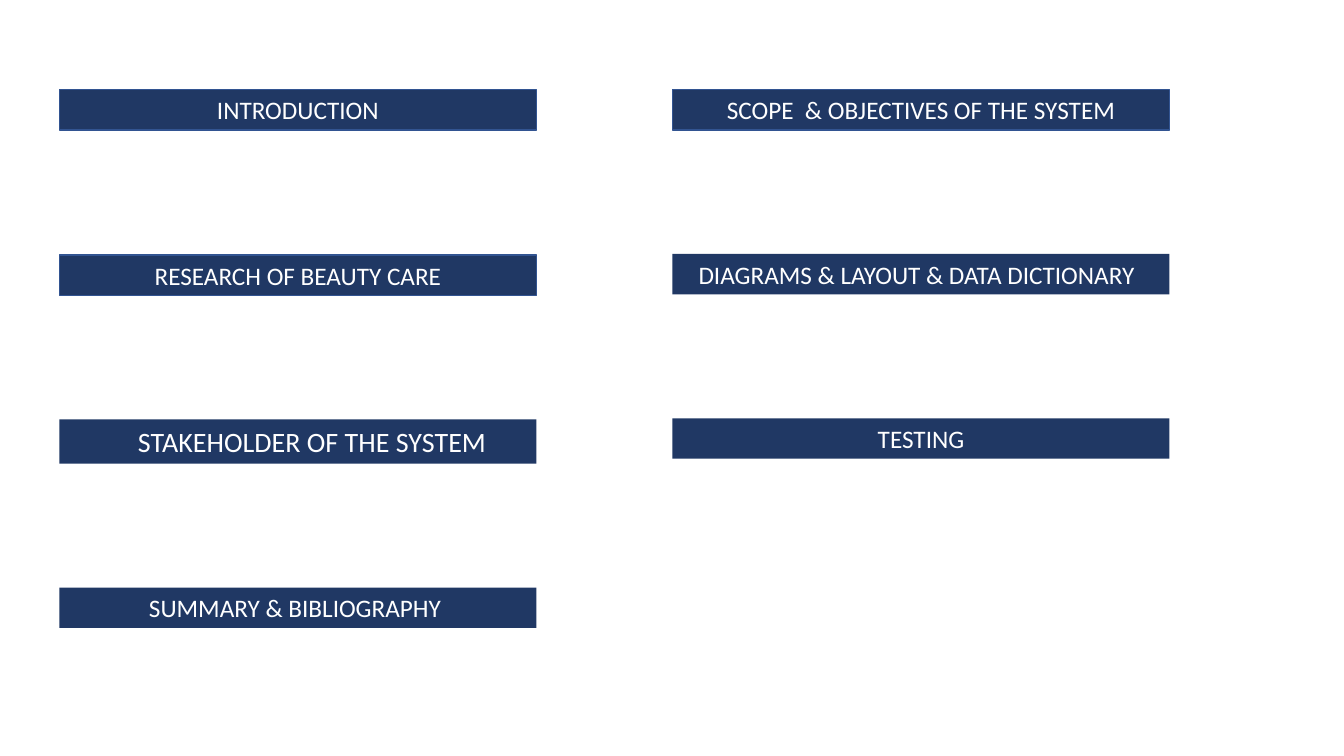
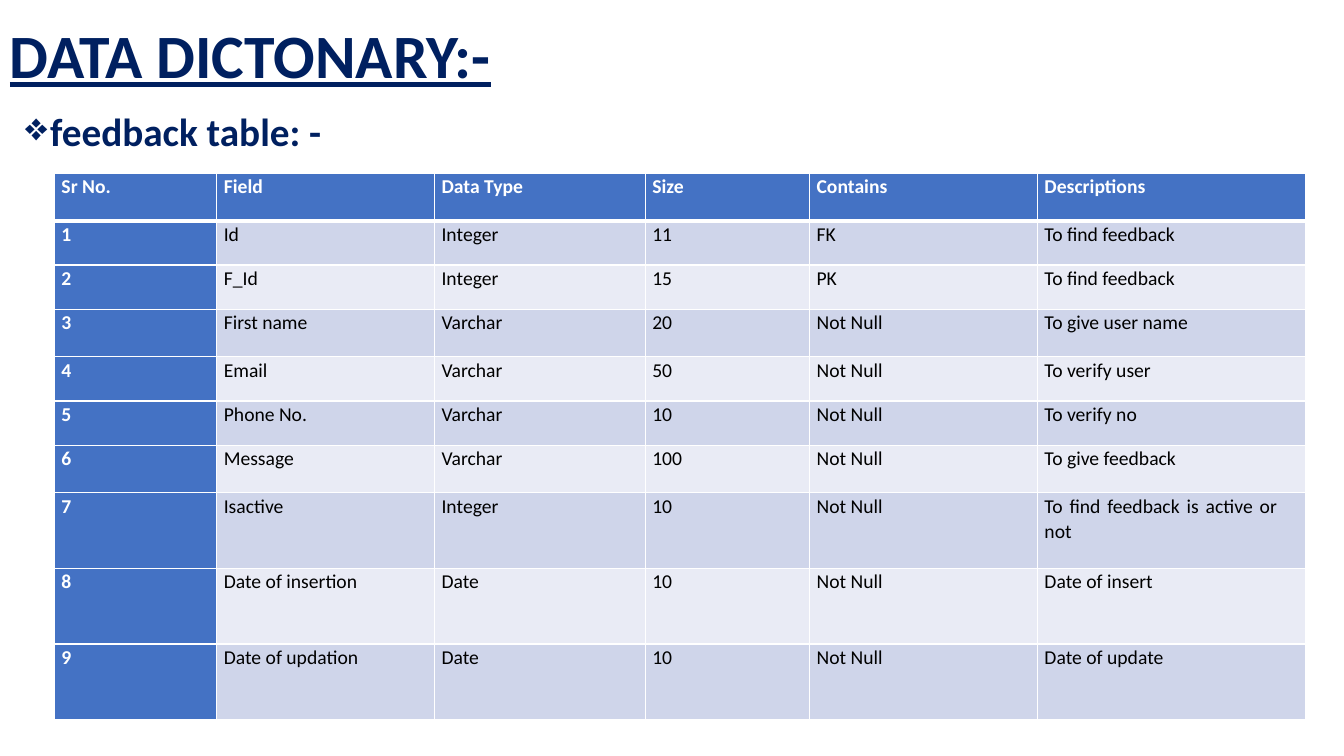
from lxml import etree
from pptx import Presentation, util as u
from pptx.dml import color
from pptx.enum import shapes, text
from pptx.oxml import ns

PX = 9144
FONT = "Calibri"
NAVY, TITLE, EDGE, WHITE, BLACK = "203864", "002060", "325491", "FFFFFF", "000000"
HEAD, BANDS = "4472C4", ("CFD5EA", "E9EBF5")

AGENDA_TOPS = (89, 253, 416, 583)
AGENDA = (
    (59, 473, (
        ("INTRODUCTION", {"edge": EDGE}),
        ("RESEARCH OF BEAUTY CARE", {"edge": EDGE}),
        ("STAKEHOLDER OF THE SYSTEM", {"size": 20, "height": 44, "indent": 68}),
        ("SUMMARY & BIBLIOGRAPHY ", {}),
    )),
    (667, 493, (
        ("SCOPE  & OBJECTIVES OF THE SYSTEM", {"edge": EDGE}),
        ("DIAGRAMS & LAYOUT & DATA DICTIONARY", {"indent": 16}),
        ("TESTING", {}),
    )),
)

COLUMNS = (161, 216, 209, 163, 226, 266)
ROWS = (47, 44, 44, 47, 44, 44, 47, 75, 75, 75)
HEADINGS = ("Sr No.", "Field", "Data Type", "Size", "Contains", "Descriptions")
FIELDS = (
    ("Id", "Integer", "11", "FK", "To find feedback"),
    ("F_Id", "Integer", "15", "PK", "To find feedback"),
    ("First name", "Varchar", "20", "Not Null", "To give user name"),
    ("Email", "Varchar", "50", "Not Null", "To verify user"),
    ("Phone No.", "Varchar", "10", "Not Null", "To verify no"),
    ("Message", "Varchar", "100", "Not Null", "To give feedback"),
    ("Isactive", "Integer", "10", "Not Null", "To find feedback is active or not"),
    ("Date of insertion", "Date", "10", "Not Null", "Date of insert"),
    ("Date of updation", "Date", "10", "Not Null", "Date of update"),
)


def px(*values):
    """Turn px lengths into EMU."""
    return [u.Emu(v * PX) for v in values]


def rgb(value):
    """Turn a hex string into a colour."""
    return color.RGBColor.from_string(value)


def assign(target, values):
    """Set attributes from a dict."""
    for name, value in values.items():
        setattr(target, name, value)


def write(p, words, size, colour, para=None, **font):
    """Write one formatted run into a paragraph."""
    assign(p, para or {})
    r = p.add_run()
    r.text = words
    assign(r.font, {"name": FONT, "size": u.Pt(size), **font})
    r.font.color.rgb = rgb(colour)


def indent(p, left, first=0):
    """Set the left margin and first-line indent of a paragraph."""
    pPr = p._p.get_or_add_pPr()
    pPr.set("marL", str(left * PX))
    pPr.set("indent", str(first * PX))
    return pPr


def bar(s, box, words, size=18, edge=None, left=None):
    """Draw one agenda bar, centred unless a left indent is given."""
    sp = s.shapes.add_shape(shapes.MSO_SHAPE.RECTANGLE, *px(*box))
    sp.shadow.inherit = False
    sp.fill.solid()
    sp.fill.fore_color.rgb = rgb(NAVY)
    if edge:
        sp.line.color.rgb = rgb(edge)
        sp.line.width = u.Pt(1)
    else:
        sp.line.fill.background()
    tf = sp.text_frame
    assign(tf, {"word_wrap": True, "vertical_anchor": text.MSO_ANCHOR.TOP,
                "auto_size": text.MSO_AUTO_SIZE.SHAPE_TO_FIT_TEXT})
    p = tf.paragraphs[0]
    align = text.PP_ALIGN.CENTER
    if left is not None:
        align = text.PP_ALIGN.LEFT
        indent(p, left)
    write(p, words, size, WHITE, {"alignment": align})


def agenda(s):
    """Lay out the agenda bars in two columns."""
    for x, width, items in AGENDA:
        for i, (words, opts) in enumerate(items):
            y = AGENDA_TOPS[i] - (1 if x > 600 and i else 0)
            box = (x, y, width, opts.get("height", 40))
            bar(s, box, words, opts.get("size", 18), opts.get("edge"), opts.get("indent"))


def heading(s, box, words, size, anchor, bullet=None, **font):
    """Place a bold navy heading, with a bullet if one is given."""
    tf = s.shapes.add_textbox(*px(*box)).text_frame
    assign(tf, {"word_wrap": True, "vertical_anchor": anchor})
    p = tf.paragraphs[0]
    p.line_spacing = 0.9
    if bullet:
        pPr = indent(p, 25, -25)
        etree.SubElement(pPr, ns.qn("a:buChar")).set("char", bullet)
    write(p, words, size, TITLE, bold=True, **font)


def borders(cell, **widths):
    """Draw white cell borders, with widths in points by side."""
    tcPr = cell._tc.get_or_add_tcPr()
    for side in "LRTB":
        ln = etree.SubElement(tcPr, ns.qn(f"a:ln{side}"), w=str(u.Pt(widths.get(side, 1))))
        fill = etree.SubElement(ln, ns.qn("a:solidFill"))
        etree.SubElement(fill, ns.qn("a:srgbClr"), val=WHITE)


def field_table(s, box):
    """Build the table of fields with a header row and a header column."""
    records = [HEADINGS] + [(str(n), *row) for n, row in enumerate(FIELDS, 1)]
    table = s.shapes.add_table(len(ROWS), len(COLUMNS), *px(*box)).table
    for column, width in zip(table.columns, px(*COLUMNS)):
        column.width = width
    for row, height in zip(table.rows, px(*ROWS)):
        row.height = height
    para = {"alignment": text.PP_ALIGN.JUSTIFY, "line_spacing": 1.07, "space_after": u.Pt(0.5)}
    for i, record in enumerate(records):
        for j, words in enumerate(record):
            cell = table.cell(i, j)
            header = i == 0 or j == 0
            borders(cell, **{0: {"B": 3}, 1: {"T": 3}}.get(i, {}))
            cell.fill.solid()
            cell.fill.fore_color.rgb = rgb(HEAD if header else BANDS[(i - 1) % 2])
            left, right = px(7, 28 if j == len(COLUMNS) - 1 else 7)
            assign(cell, {"margin_left": left, "margin_right": right,
                          "margin_top": 0, "margin_bottom": 0})
            write(cell.text_frame.paragraphs[0], words, 14,
                  WHITE if header else BLACK, para, bold=header)


def dictionary(s):
    """Lay out the data dictionary slide."""
    heading(s, (0, 0, 1242, 116), "DATA DICTONARY:-", 44, text.MSO_ANCHOR.MIDDLE, underline=True)
    heading(s, (15, 107, 1227, 568), "feedback table: -", 28, text.MSO_ANCHOR.TOP, "❖")
    field_table(s, (54, 172, sum(COLUMNS), sum(ROWS)))


def main():
    """Build and save the slides."""
    prs = Presentation()
    prs.slide_width, prs.slide_height = px(1333, 750)
    for build in (agenda, dictionary):
        build(prs.slides.add_slide(prs.slide_layouts[6]))
    prs.save("out.pptx")


if __name__ == "__main__":
    main()
